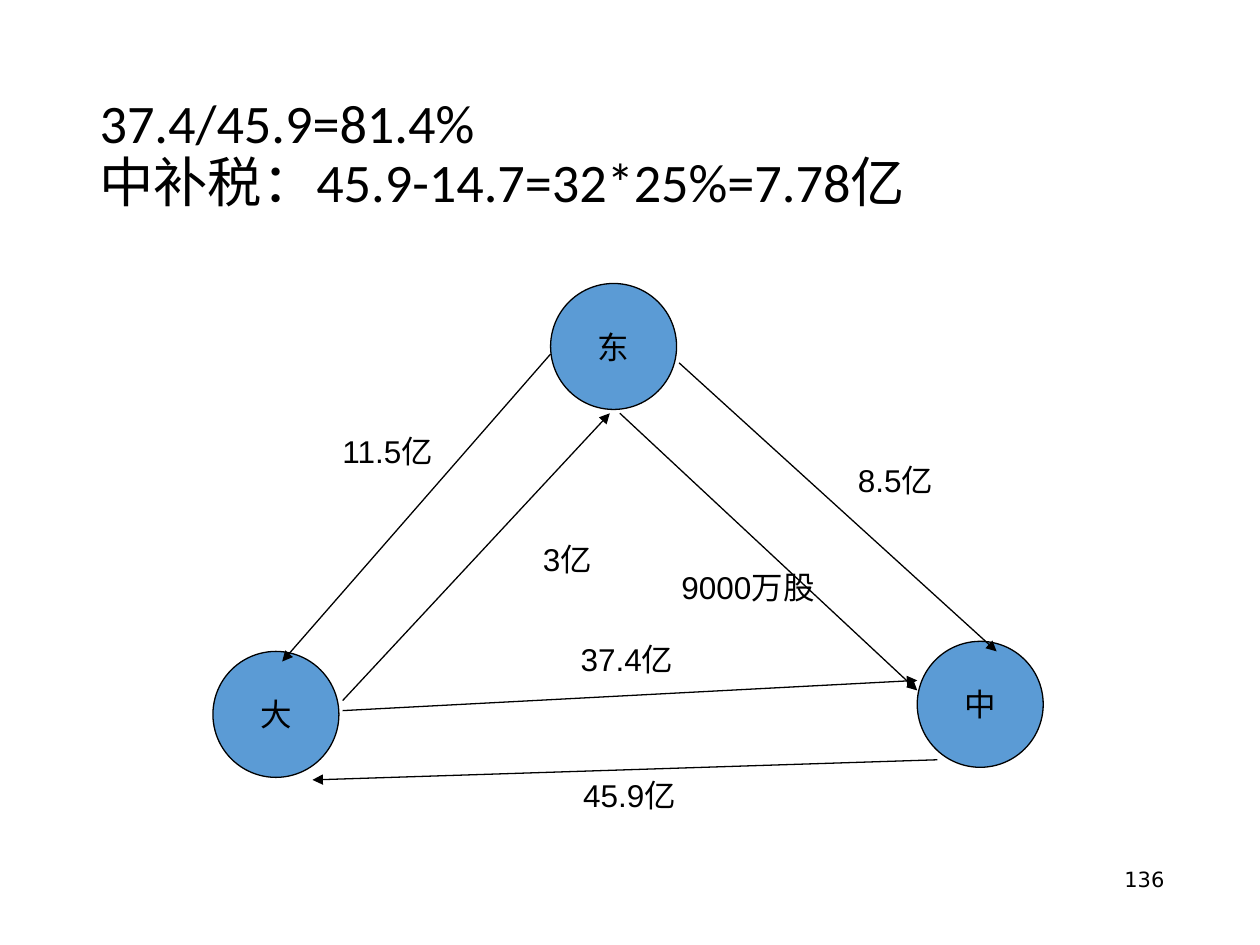
from pptx import Presentation
from pptx.dml.color import RGBColor
from pptx.enum.shapes import MSO_CONNECTOR as Connector, MSO_SHAPE as Shape
from pptx.enum.text import MSO_ANCHOR as Anchor, MSO_AUTO_SIZE as AutoSize, PP_ALIGN as Align
from pptx.oxml.ns import qn
from pptx.util import Inches, Pt
from lxml.etree import SubElement

COLORS = {"ink": "000000", "node": "5B9BD5"}
TITLE = ["37.4/45.9=81.4%", "中补税：45.9-14.7=32*25%=7.78亿"]
PAGE_NUMBER = "136"
NODE_SIZE = 1
NODES = [("东", 4.37, 2.25), ("大", 1.69, 5.17), ("中", 7.28, 5.09)]
ARROWS = [
    ((4.37, 2.81), (2.24, 5.25)),
    ((2.72, 5.56), (4.84, 3.28)),
    ((5.39, 2.88), (7.91, 5.17)),
    ((2.72, 5.64), (7.28, 5.4)),
    ((7.44, 6.03), (2.48, 6.19)),
    ((4.92, 3.28), (7.28, 5.48)),
]
LABEL_HEIGHT = 0.4
LABELS = [
    ("9000万股", 5.31, 4.46, 1.32),
    ("8.5亿", 6.71, 3.61, 0.8),
    ("11.5亿", 2.62, 3.38, 0.94),
    ("3亿", 4.21, 4.24, 0.59),
    ("37.4亿", 4.51, 5.03, 0.94),
    ("45.9亿", 4.53, 6.11, 0.94),
]


def color(name):
    return RGBColor.from_string(COLORS[name])


def apply(target, formats):
    for name, value in formats.items():
        setattr(target, name, value)


def write(box, text, frame_formats, para_formats, size=18, font="Arial"):
    frame = box.text_frame
    apply(frame, frame_formats)
    para = frame.paragraphs[0]
    para.text = text
    apply(para, para_formats)
    for span in para.runs:
        apply(span.font, {"size": Pt(size), "name": font})
        span.font.color.rgb = color("ink")


def outline(line):
    line.color.rgb = color("ink")
    line.width = Pt(0.75)


def add_node(page, text, left, top):
    node = page.shapes.add_shape(
        Shape.OVAL, *map(Inches, (left, top, NODE_SIZE, NODE_SIZE)))
    node.shadow.inherit = False
    node.fill.solid()
    node.fill.fore_color.rgb = color("node")
    outline(node.line)
    write(node, text, {"word_wrap": False, "vertical_anchor": Anchor.MIDDLE},
          {"alignment": Align.CENTER})


def add_arrow(page, start, end):
    arrow = page.shapes.add_connector(
        Connector.STRAIGHT, *map(Inches, start + end))
    outline(arrow.line)
    SubElement(arrow.line._get_or_add_ln(), qn("a:tailEnd"), type="triangle")
    SubElement(arrow._element.spPr, qn("a:effectLst"))


def add_text(page, text, place, frame_formats, para_formats, **font):
    box = page.shapes.add_textbox(*map(Inches, place))
    write(box, text, {"word_wrap": True, **frame_formats}, para_formats, **font)


def main():
    deck = Presentation()
    apply(deck, {"slide_width": Inches(10), "slide_height": Inches(7.5)})
    page = deck.slides.add_slide(deck.slide_layouts[5])

    title = page.shapes.title
    apply(title, {"left": Inches(0.69), "top": Inches(0.73),
                  "width": Inches(8.62), "height": Inches(1.02)})
    write(title, "\v".join(TITLE),
          {"vertical_anchor": Anchor.BOTTOM, "auto_size": AutoSize.NONE},
          {"alignment": Align.LEFT, "line_spacing": 0.9}, size=31, font="Calibri")

    add_text(page, PAGE_NUMBER, (7.17, 6.83, 2.17, 0.52), {},
             {"alignment": Align.RIGHT}, size=12, font="DejaVu Sans")
    for node in NODES:
        add_node(page, *node)
    for start, end in ARROWS:
        add_arrow(page, start, end)
    for text, left, top, width in LABELS:
        add_text(page, text, (left, top, width, LABEL_HEIGHT),
                 {"auto_size": AutoSize.SHAPE_TO_FIT_TEXT}, {"alignment": Align.LEFT})

    deck.save("out.pptx")


if __name__ == "__main__":
    main()
